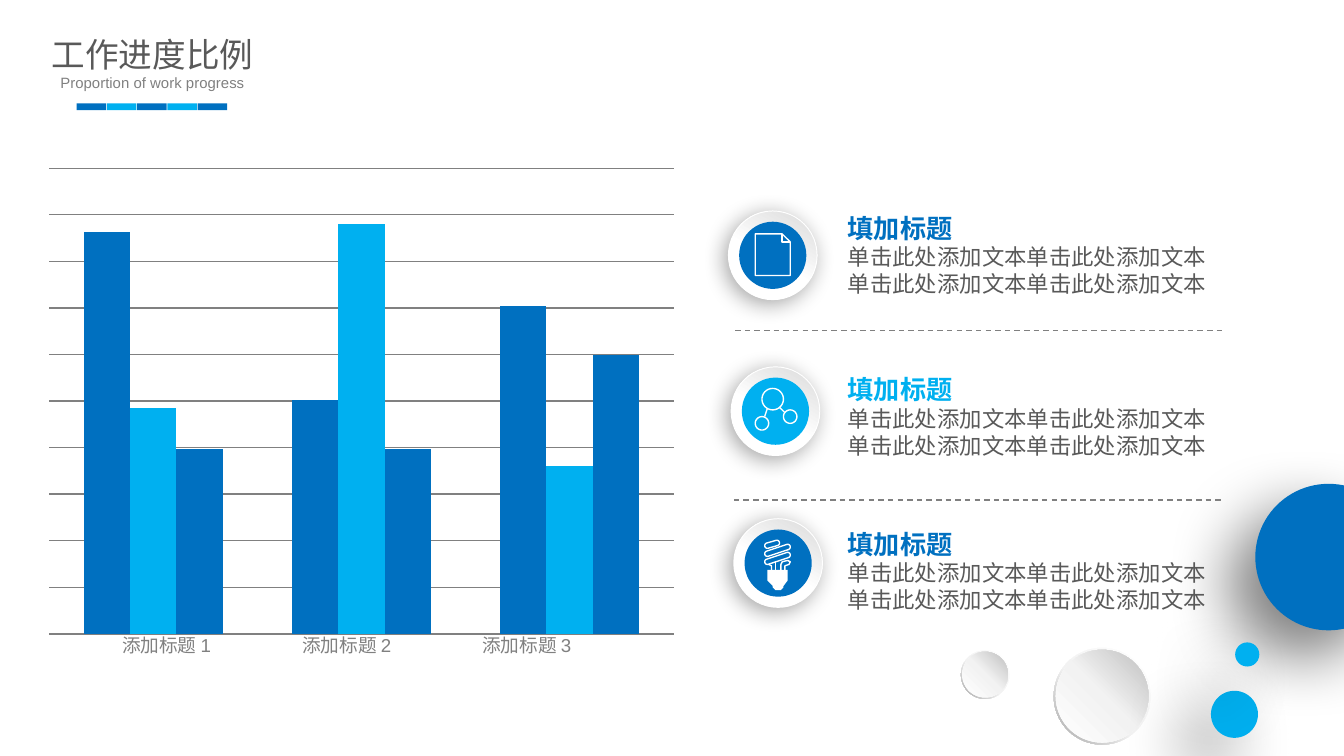
from math import atan2, cos, pi, sin
from lxml import etree
from pptx import Presentation
from pptx import util as u
from pptx.chart import data as cd
from pptx.dml.color import RGBColor
from pptx.enum import chart as ch, dml, shapes, text
from pptx.oxml import ns

BLUE, SKY, GREY, DARK, WHITE = "0070C0", "00B0F0", "808080", "595959", "FFFFFF"
FONT = "Arial"
RIM = [(0, WHITE), (55, "F2F2F2"), (100, "A6A6A6")], 135
BALL = [(0, WHITE), (51, "F2F2F2"), (100, "BFBFBF")], 315
DISC = [(45, WHITE), (100, "D9D9D9")], 300
DEEP, SOFT = (50, 35, 20), (34, 12, 3)

PALE = [(7.84, 4.82, 0.72, 0.69), (7.15, 4.84, 0.36, 0.34)]
DOTS = [(9.34, 3.6, 1.09, 1.04, BLUE), (9.01, 5.14, 0.35, 0.33, SKY),
        (9.19, 4.78, 0.18, 0.17, SKY)]

CATS = ["1", "2", "3"]
DATA = [("Series 1", (98, 57, 80), BLUE), ("Series 2", (55, 100, 41), SKY),
        ("Series 3", (45, 45, 68), BLUE)]
STEP = 11.36

BODY = "单击此处添加文本单击此处添加文本"
ITEMS = [("填加标题", BLUE, 5.42, 1.57, 1.53), ("填加标题", SKY, 5.44, 2.73, 2.73),
         ("填加标题", BLUE, 5.46, 3.86, 3.88)]
RULES = [(5.47, 2.46), (5.46, 3.72)]


def pill(x1, y1, x2, y2, r):
    turn = atan2(y2 - y1, x2 - x1)
    ends = []
    for i in range(32):
        x, y = (x2, y2) if i < 16 else (x1, y1)
        a = turn - pi / 2 + pi * (i - i // 16) / 15
        ends.append((x + r * cos(a), y + r * sin(a)))
    return ends + ends[:1]


PAGE = [[(5.62, 1.74), (5.82, 1.74), (5.88, 1.8), (5.88, 2.05), (5.62, 2.05), (5.62, 1.74)],
        [(5.82, 1.74), (5.82, 1.8), (5.88, 1.8)]]
NET = [pill(5.75, 2.97, 5.75, 2.97, 0.08), pill(5.67, 3.15, 5.67, 3.15, 0.05),
       pill(5.88, 3.1, 5.88, 3.1, 0.05),
       [(5.71, 3.04), (5.69, 3.1)], [(5.8, 3.03), (5.84, 3.07)]]
LAMP = [pill(5.71, 4.06, 5.78, 4.04, 0.02), pill(5.71, 4.12, 5.86, 4.07, 0.02),
        pill(5.71, 4.18, 5.86, 4.13, 0.02),
        [(5.72, 4.2), (5.74, 4.21), (5.74, 4.24)], [(5.77, 4.24), (5.77, 4.18)],
        [(5.81, 4.24), (5.81, 4.2), (5.82, 4.18), (5.86, 4.17), (5.88, 4.18),
         (5.87, 4.2), (5.84, 4.21), (5.84, 4.24)]]
BASE = [[(5.71, 4.24), (5.86, 4.24), (5.86, 4.32), (5.83, 4.36), (5.83, 4.37), (5.81, 4.39),
         (5.77, 4.39), (5.75, 4.37), (5.75, 4.36), (5.71, 4.32), (5.71, 4.24)]]

deck = Presentation()
deck.slide_width = u.Inches(10)
deck.slide_height = deck.slide_width * 9 // 16
slide = deck.slides.add_slide(deck.slide_layouts[6])
KIND = shapes.MSO_SHAPE


def rgb(code):
    return RGBColor.from_string(code)


def sub(node, tag, **atts):
    return etree.SubElement(node, ns.qn(tag), {k: str(v) for k, v in atts.items()})


def tint(shape, fill):
    if isinstance(fill, str):
        shape.fill.solid()
        shape.fill.fore_color.rgb = rgb(fill)
        return
    stops, turn = fill
    shape.fill.gradient()
    shape.fill.gradient_angle = 360 - turn
    group = shape.element.spPr.find(".//" + ns.qn("a:gsLst"))
    for old in list(group):
        group.remove(old)
    for pos, code in stops:
        sub(sub(group, "a:gs", pos=pos * 1000), "a:srgbClr", val=code)


def form(kind, x, y, w, h, fill, line=None, shade=None):
    shape = slide.shapes.add_shape(kind, *map(u.Inches, (x, y, w, h)))
    shape.shadow.inherit = False
    tint(shape, fill)
    if line:
        shape.line.color.rgb = rgb(line)
        shape.line.width = u.Pt(0.5)
    else:
        shape.line.fill.background()
    if shade:
        alpha, blur, dist = shade
        glow = sub(shape.element.spPr.find(ns.qn("a:effectLst")), "a:outerShdw",
                   blurRad=u.Pt(blur), dist=u.Pt(dist), dir=135 * 60000,
                   algn="tr", rotWithShape=0)
        sub(sub(glow, "a:srgbClr", val="000000"), "a:alpha", val=alpha * 1000)
    return shape


def trace(lines, solid=False):
    pts = [[(u.Inches(x), u.Inches(y)) for x, y in line] for line in lines]
    pen = slide.shapes.build_freeform(*pts[0][0], scale=1.0)
    for i, line in enumerate(pts):
        if i:
            pen.move_to(*line[0])
        pen.add_line_segments(line[1:], close=line[0] == line[-1])
    shape = pen.convert_to_shape()
    shape.shadow.inherit = False
    if solid:
        tint(shape, WHITE)
        shape.line.fill.background()
    else:
        shape.fill.background()
        shape.line.color.rgb = rgb(WHITE)
        shape.line.width = u.Pt(0.75)


def write(x, y, w, h, rows, mid=False, wrap=True, pad=(0.1, 0.05)):
    box = slide.shapes.add_textbox(*map(u.Inches, (x, y, w, h)))
    frame = box.text_frame
    frame.word_wrap = wrap
    frame.auto_size = text.MSO_AUTO_SIZE.SHAPE_TO_FIT_TEXT
    frame.margin_left = frame.margin_right = u.Inches(pad[0])
    frame.margin_top = frame.margin_bottom = u.Inches(pad[1])
    for i, (words, size, code, bold) in enumerate(rows):
        para = frame.add_paragraph() if i else frame.paragraphs[0]
        if mid:
            para.alignment = text.PP_ALIGN.CENTER
        run = para.add_run()
        run.text = words
        run.font.name, run.font.size, run.font.bold = FONT, u.Pt(size), bold
        run.font.color.rgb = rgb(code)


def plot():
    info = cd.CategoryChartData()
    info.categories = CATS
    for name, vals, _ in DATA:
        info.add_series(name, vals)
    chart = slide.shapes.add_chart(ch.XL_CHART_TYPE.COLUMN_CLUSTERED, *map(
        u.Inches, (0.27, 1.18, 4.84, 3.61)), info).chart
    chart.has_legend = chart.has_title = False
    chart.font.name, chart.font.size = FONT, u.Pt(18)
    chart.font.color.rgb = rgb("000000")
    bars = chart.plots[0]
    bars.gap_width, bars.overlap, bars.vary_by_categories = 150, 0, False
    for series, (_, _, code) in zip(bars.series, DATA):
        tint(series.format, code)
    axis = chart.value_axis
    axis.minimum_scale, axis.maximum_scale, axis.major_unit = 0, STEP * 10, STEP
    axis.has_major_gridlines = True
    grid = axis.major_gridlines.format.line
    grid.color.rgb, grid.width = rgb(GREY), u.Pt(0.75)
    axis.visible = chart.category_axis.visible = False
    area = chart.element.find(".//" + ns.qn("c:plotArea"))
    for old in area.findall(ns.qn("c:layout")):
        area.remove(old)
    lay = etree.Element(ns.qn("c:layout"))
    area.insert(0, lay)
    man = sub(lay, "c:manualLayout")
    for tag, val in [("layoutTarget", "inner"), ("xMode", "edge"), ("yMode", "edge"),
                     ("x", 0.02), ("y", 0.02), ("w", 0.96), ("h", 0.96)]:
        sub(man, "c:" + tag, val=val)


for x, y, rim, ball in PALE:
    form(KIND.DONUT, x, y, rim, rim, RIM).adjustments[0] = 0.05
    gap = (rim - ball) / 2
    form(KIND.OVAL, x + gap, y + gap, ball, ball, BALL)
for x, y, big, small, code in DOTS:
    gap = (big - small) / 2
    form(KIND.OVAL, x, y, big, big, code, shade=DEEP)
    form(KIND.OVAL, x + gap, y + gap, small, small, code)

plot()
for i, cat in enumerate(CATS):
    write(0.76 + 1.34 * i, 4.67, 0.96, 0.27, [("添加标题 " + cat, 10, GREY, False)], mid=True)

for x, y in RULES:
    rule = slide.shapes.add_connector(shapes.MSO_CONNECTOR.STRAIGHT, *map(
        u.Inches, (x, y, 9.09, y)))
    rule.line.color.rgb, rule.line.width = rgb(GREY), u.Pt(0.75)
    rule.line.dash_style = dml.MSO_LINE.DASH
    sub(rule.element.spPr, "a:effectLst")

for (head, code, x, y, top), icon in zip(ITEMS, (PAGE, NET, LAMP)):
    write(6.21, top, 3.04, 0.74, [(head, 14, code, True)] + [(BODY, 12, DARK, False)] * 2)
    form(KIND.OVAL, x, y, 0.66, 0.66, DISC, WHITE, SOFT)
    form(KIND.OVAL, x + 0.08, y + 0.08, 0.5, 0.5, code)
    trace(icon)
trace(BASE, solid=True)

write(0.3, 0.21, 1.67, 0.38, [("工作进度比例", 18, DARK, False)], True, False, (0.07, 0.04))
write(0.17, 0.5, 1.93, 0.24, [("Proportion of work progress", 8, GREY, False)], True)
for i in range(5):
    form(KIND.RECTANGLE, 0.57 + 0.9 * i / 4, 0.77, 0.22, 0.05, SKY if i % 2 else BLUE)

deck.save("out.pptx")
